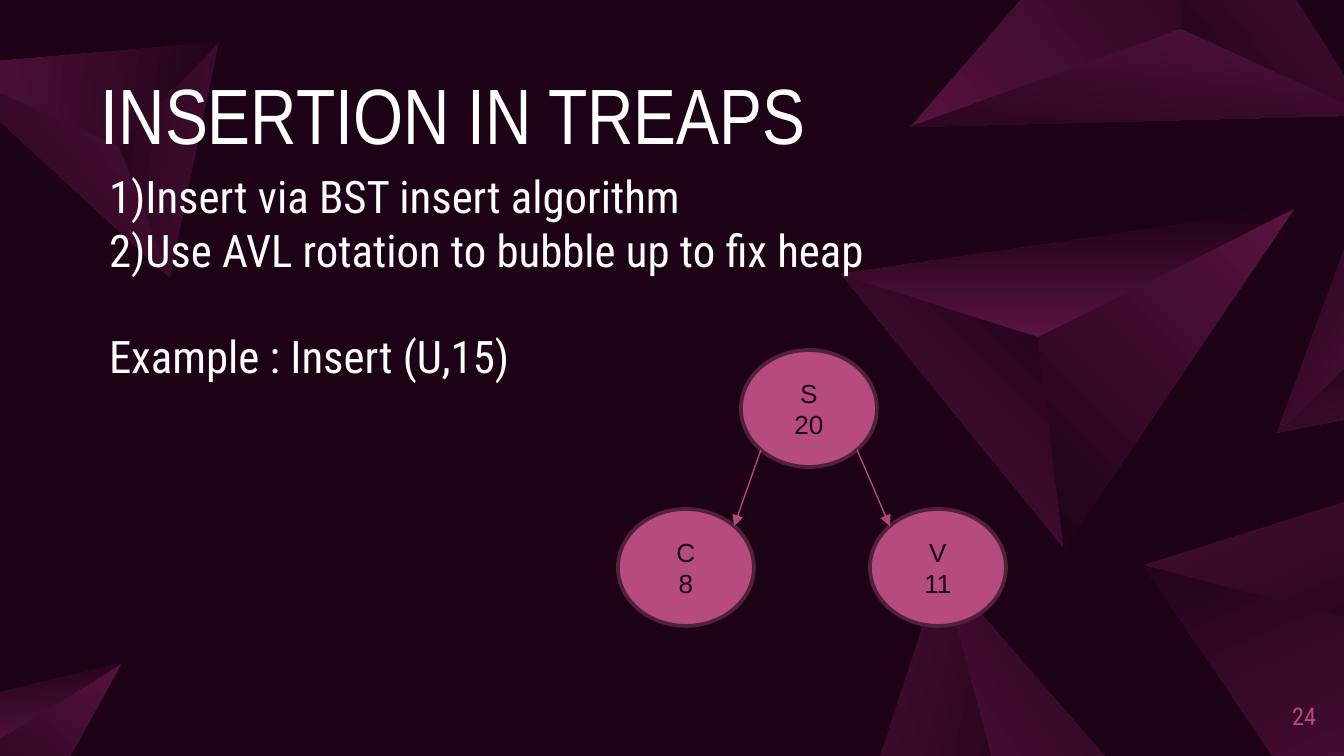
from math import cos, radians, sin, sqrt

from lxml.etree import SubElement
from pptx import Presentation
from pptx.dml.color import RGBColor
from pptx.enum.shapes import MSO_CONNECTOR as Connector, MSO_SHAPE as Shape
from pptx.enum.text import MSO_ANCHOR as Anchor, PP_ALIGN as Align
from pptx.oxml.ns import qn
from pptx.util import Pt

COLORS = {
    "background": "1D0216",
    "facet": "591341",
    "text": "FFFFFF",
    "node": "B64B7F",
    "outline": "502138",
    "edge": "B5477C",
}

# Pyramid at full size, in px: three facets that meet at the peak
PYRAMID_W, PYRAMID_H = 454, 340
WEST, SOUTH, EAST, PEAK = (0, 66), (223, 340), (454, 0), (197, 129)
FACETS = [
    ((WEST, SOUTH, PEAK), 45),
    ((SOUTH, EAST, PEAK), 225),
    ((WEST, PEAK, EAST), 90),
]
# Centre x, centre y, size in percent, rotation
PYRAMIDS = [
    (1300, 632, 100, 111.7),
    (127, 113, 68, 230.9),
    (1068, 378, 100, 0),
    (1156, -15, 100, 186.8),
    (1380, 355, 51.5, 298.3),
    (977, 816, 100, 57.3),
    (13, 761, 51.5, 354.9),
]

NODE_W, NODE_H = 136, 117
DIAGONAL = (1 - sqrt(0.5)) / 2  # where an ellipse meets its diagonal


def px(length):
    return round(length * 914400 / 134.4)


def rgb(name):
    return RGBColor.from_string(COLORS[name])


def add_pyramid(slide, center_x, center_y, percent, rotation):
    size = percent / 100
    cosine, sine = cos(radians(rotation)), sin(radians(rotation))
    for corners, angle in FACETS:
        xs, ys = zip(*corners)
        mid_x, mid_y = (min(xs) + max(xs)) / 2, (min(ys) + max(ys)) / 2
        # Turn the facet's middle about the pyramid's centre
        dx, dy = (mid_x - PYRAMID_W / 2) * size, (mid_y - PYRAMID_H / 2) * size
        facet_x = center_x + dx * cosine - dy * sine
        facet_y = center_y + dx * sine + dy * cosine
        points = [(px(facet_x + (x - mid_x) * size),
                   px(facet_y + (y - mid_y) * size)) for x, y in corners]
        outline = slide.shapes.build_freeform(*points[0])
        outline.add_line_segments(points[1:], close=True)
        facet = outline.convert_to_shape()
        facet.rotation = rotation
        facet.shadow.inherit = False
        facet.line.fill.background()
        facet.fill.gradient()
        facet.fill.gradient_angle = angle
        for stop, color, position in zip(facet.fill.gradient_stops,
                                         ("facet", "background"), (0, 1)):
            stop.color.rgb = rgb(color)
            stop.position = position


def write_lines(frame, lines, font_name, size, color, align=Align.LEFT):
    frame.word_wrap = True
    for index, line in enumerate(lines):
        paragraph = frame.add_paragraph() if index else frame.paragraphs[0]
        paragraph.text = line
        paragraph.alignment = align
        font = paragraph.font
        font.name, font.size, font.color.rgb = font_name, Pt(size), rgb(color)


def add_text(slide, box, lines, font_name, size, color,
             anchor=Anchor.TOP, align=Align.LEFT):
    frame = slide.shapes.add_textbox(*map(px, box)).text_frame
    frame.margin_left = frame.margin_right = 0
    frame.margin_top = frame.margin_bottom = 0
    frame.vertical_anchor = anchor
    write_lines(frame, lines, font_name, size, color, align)
    return frame


def add_node(slide, left, top, key, priority):
    node = slide.shapes.add_shape(Shape.OVAL, px(left), px(top), px(NODE_W), px(NODE_H))
    node.shadow.inherit = False
    node.fill.solid()
    node.fill.fore_color.rgb = rgb("node")
    node.line.color.rgb = rgb("outline")
    node.line.width = Pt(2)
    node.text_frame.vertical_anchor = Anchor.MIDDLE
    write_lines(node.text_frame, [key, priority], "Arial", 14, "background", Align.CENTER)


def add_edge(slide, start, end):
    edge = slide.shapes.add_connector(Connector.STRAIGHT, *map(px, start + end))
    edge.line.color.rgb = rgb("edge")
    edge.line.width = Pt(0.75)
    SubElement(edge.line._get_or_add_ln(), qn("a:tailEnd"), type="triangle")
    SubElement(edge._element.spPr, qn("a:effectLst"))


def add_treap(slide, left, top):
    root = (left + 123, top)
    low_child, high_child = (left, top + 159), (left + 252, top + 159)
    add_node(slide, *low_child, "C", "8")
    add_node(slide, *high_child, "V", "11")
    add_node(slide, *root, "S", "20")

    # Edges run from the root's lower diagonals to the children's upper ones
    near_x, far_x = NODE_W * DIAGONAL, NODE_W * (1 - DIAGONAL)
    near_y, far_y = NODE_H * DIAGONAL, NODE_H * (1 - DIAGONAL)
    for child, root_x, child_x in ((low_child, near_x, far_x),
                                   (high_child, far_x, near_x)):
        add_edge(slide, (root[0] + root_x, root[1] + far_y),
                 (child[0] + child_x, child[1] + near_y))


def main():
    deck = Presentation()
    deck.slide_width, deck.slide_height = px(1344), px(756)
    slide = deck.slides.add_slide(deck.slide_layouts[6])

    # Backdrop
    slide.background.fill.solid()
    slide.background.fill.fore_color.rgb = rgb("background")
    for pyramid in PYRAMIDS:
        add_pyramid(slide, *pyramid)

    # Title
    title = add_text(slide, (101, 74, 952, 87), ["INSERTION IN TREAPS"],
                     "Arial Narrow", 42, "text", Anchor.BOTTOM)
    title.paragraphs[0].line_spacing = 0.9

    # Steps and example
    steps = add_text(slide, (98, 169, 1103, 137), [
        "1)Insert via BST insert algorithm",
        "2)Use AVL rotation to bubble up to fix heap",
        "Example : Insert (U,15)",
    ], "Roboto Condensed", 24, "text")
    steps.margin_left = px(11)
    steps.paragraphs[2].space_before = Pt(28)

    # Slide number
    add_text(slide, (1257, 687, 59, 58), ["24"], "Roboto Condensed", 13, "node",
             Anchor.MIDDLE, Align.RIGHT)

    # Treap diagram
    add_treap(slide, 618, 350)

    deck.save("out.pptx")


if __name__ == "__main__":
    main()
